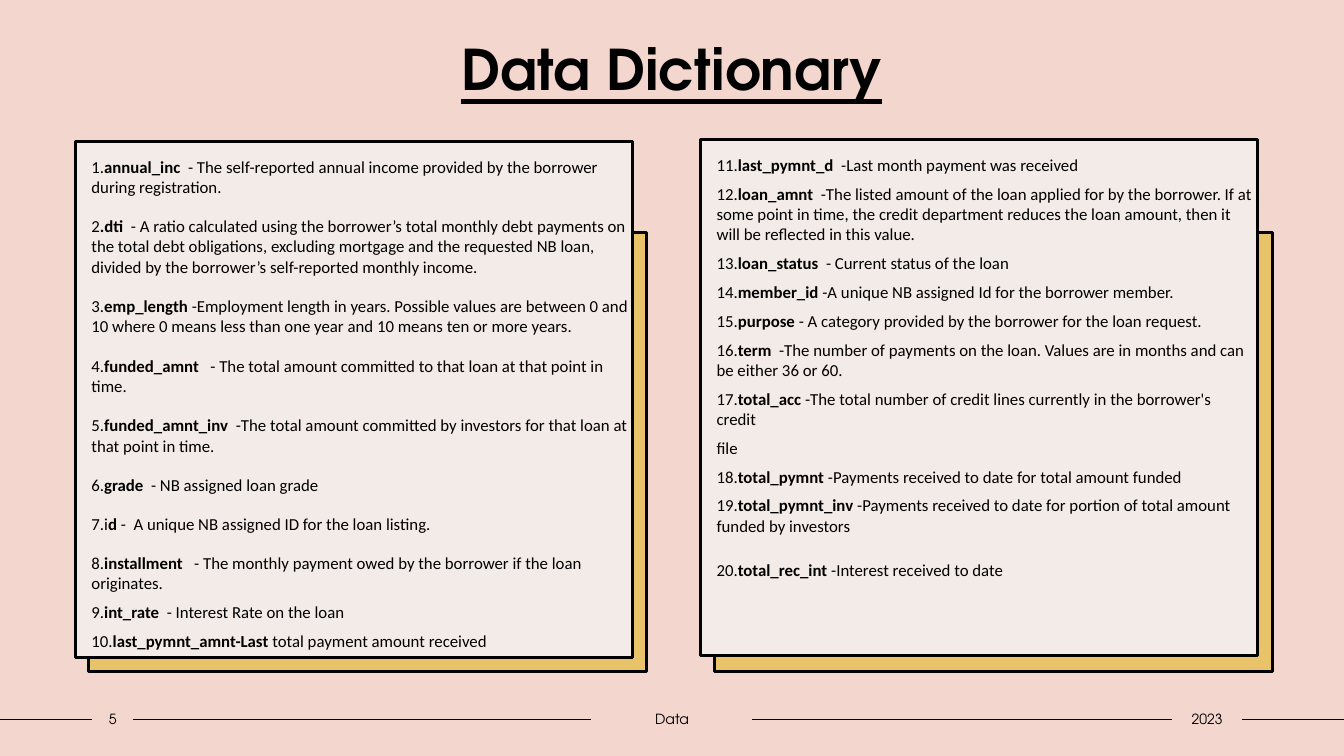
from lxml import etree
from pptx import Presentation
from pptx.dml.color import RGBColor
from pptx.enum import shapes, text
from pptx.oxml.ns import qn
from pptx.util import Pt

HEAD = "TeX Gyre Adventor"
INK = "000000"


def tint(color, code):
    color.rgb = RGBColor.from_string(code)


def style(run, face, size, bold=False):
    font = run.font
    font.name, font.size, font.bold = face, Pt(size), bold
    tint(font.color, INK)


# Entries: number, bold term, meaning, space after
left = [
    ("1.", "annual_inc  ", "- The self-reported annual income provided by the borrower during registration.", 7.5),
    ("2", ".dti  ", "- A ratio calculated using the borrower’s total monthly debt payments on the total debt "
     "obligations, excluding mortgage and the requested NB loan, divided by the borrower’s self-reported "
     "monthly income.", 7.5),
    ("3.", "emp_length ", "-Employment length in years. Possible values are between 0 and 10 where 0 means "
     "less than one year and 10 means ten or more years.", 8.4),
    ("4.", "funded_amnt   ", "- The total amount committed to that loan at that point in time.", 7.5),
    ("5.", "funded_amnt_inv  ", "-The total amount committed by investors for that loan at that point in time.", 7.5),
    ("6.", "grade", "  - NB assigned loan grade", 7.5),
    ("7.i", "d", " -  A unique NB assigned ID for the loan listing.", 7.5),
    ("8.", "installment", "   - The monthly payment owed by the borrower if the loan originates.", 0.2),
    ("9.", "int_rate  ", "- Interest Rate on the loan", 0.2),
    ("10.", "last_pymnt_amnt-Last ", "total payment amount received", 0.2),
]
right = [
    ("11.", "last_pymnt_d  ", "-Last month payment was received", 0.2),
    ("12.", "loan_amnt  ", "-The listed amount of the loan applied for by the borrower. If at some point in time, "
     "the credit department reduces the loan amount, then it will be reflected in this value.", 0.2),
    ("13.", "loan_status", "  - Current status of the loan", 0.2),
    ("14.", "member_id ", "-A unique NB assigned Id for the borrower member.", 0.2),
    ("15.", "purpose", " - A category provided by the borrower for the loan request.", 0.2),
    ("16.", "term", "  -The number of payments on the loan. Values are in months and can be either 36 or 60.", 0.2),
    ("17.", "total_acc ", "-The total number of credit lines currently in the borrower's credit", 0.2),
    ("file", "", "", 0.2),
    ("18.", "total_pymnt ", "-Payments received to date for total amount funded", 0.2),
    ("19.", "total_pymnt_inv ", "-Payments received to date for portion of total amount funded by investors", 11.4),
    ("20.", "total_rec_int ", "-Interest received to date", 36.5),
]

# Slide and background
deck = Presentation()
deck.slide_width, deck.slide_height = Pt(960), Pt(540)
slide = deck.slides.add_slide(deck.slide_layouts[3])
fill = slide.background.fill
fill.solid()
tint(fill.fore_color, "F3D6CD")
title, *panels = slide.placeholders
tree = slide.shapes

# Footer labels
labels = []
for word, x, wide in [("5", 66, 29), ("Data", 422.5, 115), ("2023", 837, 50.5)]:
    box = tree.add_textbox(Pt(x), Pt(504), Pt(wide), Pt(19.5))
    frame = box.text_frame
    frame.word_wrap = True
    frame.vertical_anchor = text.MSO_ANCHOR.MIDDLE
    frame.margin_left = frame.margin_right = 0
    frame.text = word
    par = frame.paragraphs[0]
    par.alignment = text.PP_ALIGN.CENTER
    par.space_after = Pt(6)
    style(par.runs[0], HEAD, 10)
    labels.append(box)

# Footer rules between the labels
mid = Pt(513.75)
for prev, following in zip([None] + labels, labels + [None]):
    rule = tree.add_connector(shapes.MSO_CONNECTOR.STRAIGHT, 0, mid, Pt(960), mid)
    if prev:
        rule.begin_connect(prev, 3)
    if following:
        rule.end_connect(following, 1)
    tint(rule.line.color, INK)
    rule.line.width = Pt(1)
    etree.SubElement(rule._element.spPr, qn("a:effectLst"))

# Gold cards behind the panels
cards = []
for x in (63.5, 510.5):
    card = tree.add_shape(shapes.MSO_SHAPE.RECTANGLE, Pt(x), Pt(165.8), Pt(398.3), Pt(314))
    card.shadow.inherit = False
    cards.append(card)

# Title
title.left, title.top, title.width, title.height = Pt(90), Pt(21), Pt(780), Pt(80)
frame = title.text_frame
frame.text = "Data Dictionary"
frame.vertical_anchor = text.MSO_ANCHOR.TOP
frame.auto_size = text.MSO_AUTO_SIZE.NONE
frame.paragraphs[0].alignment = text.PP_ALIGN.CENTER
run = frame.paragraphs[0].runs[0]
style(run, HEAD, 40, True)
run.font.underline = True

# Panels with the entries
for panel, x, y, items in zip(panels, (54, 500.5), (100.8, 99.4), (left, right)):
    panel.left, panel.top, panel.width, panel.height = Pt(x), Pt(y), Pt(397.8), Pt(368.6)
    tree._spTree.append(panel._element)
    frame = panel.text_frame
    frame.auto_size = text.MSO_AUTO_SIZE.NONE
    frame.vertical_anchor = text.MSO_ANCHOR.TOP
    frame.margin_left, frame.margin_top = Pt(11.3), Pt(11.2)
    frame.margin_right, frame.margin_bottom = Pt(2.5), Pt(4)
    for i, (num, term, note, after) in enumerate(items):
        par = frame.add_paragraph() if i else frame.paragraphs[0]
        props = par._p.get_or_add_pPr()
        props.set("marL", "0")
        props.set("indent", "0")
        etree.SubElement(props, qn("a:buNone"))
        par.space_before, par.space_after = Pt(6), Pt(after)
        for part, bold in ((num, False), (term, True), (note, False)):
            if part:
                run = par.add_run()
                run.text = part
                style(run, "Calibri", 12, bold)

# Fill and outline of cards and panels
for code, group in (("E9C369", cards), ("F3EBE8", panels)):
    for item in group:
        item.fill.solid()
        tint(item.fill.fore_color, code)
        tint(item.line.color, INK)
        item.line.width = Pt(2)

deck.save("out.pptx")
